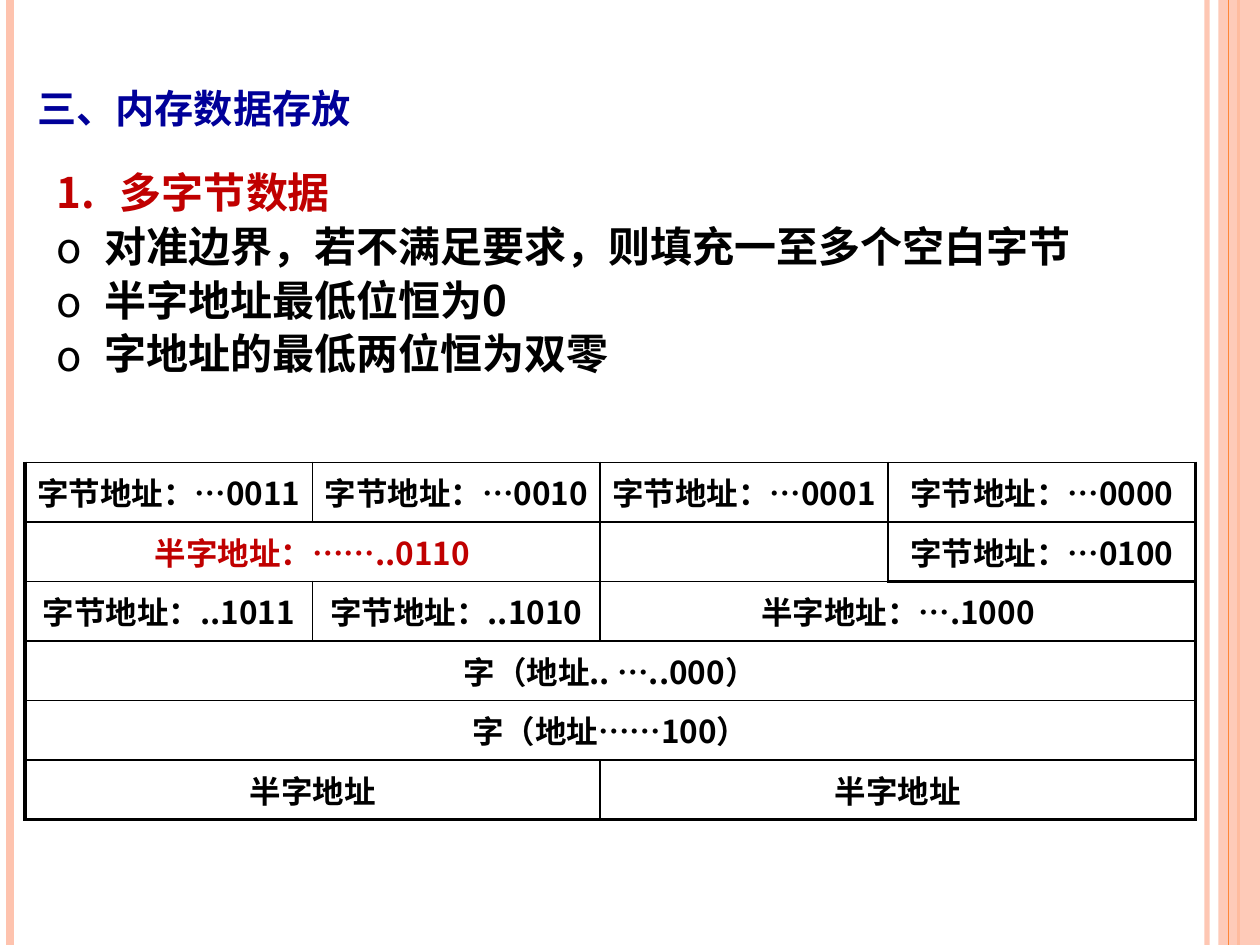
from dataclasses import dataclass

from lxml.etree import SubElement
from pptx import Presentation
from pptx.dml.color import RGBColor
from pptx.enum.shapes import MSO_CONNECTOR, MSO_SHAPE
from pptx.enum.text import MSO_ANCHOR, PP_ALIGN
from pptx.oxml.ns import qn
from pptx.slide import Slide
from pptx.table import _Cell
from pptx.text.text import _Paragraph
from pptx.util import Cm, Pt

COLORS = {
    "peach": "FEC3AE",
    "orange": "FE8637",
    "navy": "000099",
    "red": "C00000",
    "black": "000000",
}
FONT = "Noto Sans CJK SC"
SLIDE_WIDTH, SLIDE_HEIGHT = 25.4, 19.05
COLUMN_WIDTHS = (5.8, 5.8, 5.8, 6.2)
ROW_HEIGHT = 1.2
THIN, THICK = 1, 2.25


@dataclass
class Stripe:
    x: float
    width: float
    color: str
    opacity: int = 100


@dataclass
class Item:
    text: str
    indent: float
    bullet: str = "o"
    color: str = "black"


@dataclass
class Entry:
    text: str
    span: int = 1
    color: str = "black"
    bottom: float = THIN


STRIPES = [
    Stripe(24.33, 3, "peach", 93),
    Stripe(0.2, 4.5, "peach"),
    Stripe(24.97, 1.5, "orange"),
]
INNER_STRIPE = Stripe(24.77, 0.75, "orange")

ITEMS = [
    Item("多字节数据", 1.27, "1.", "red"),
    Item("对准边界，若不满足要求，则填充一至多个空白字节", 0.95),
    Item("半字地址最低位恒为0", 0.95),
    Item("字地址的最低两位恒为双零", 0.95),
]

ROWS = [
    [Entry(f"字节地址：…{address}") for address in ("0011", "0010", "0001", "0000")],
    [Entry("半字地址：……..0110", 2, "red"), Entry(""), Entry("字节地址：…0100", bottom=THICK)],
    [Entry("字节地址：..1011"), Entry("字节地址：..1010"), Entry("半字地址：….1000", 2)],
    [Entry("字（地址.. …..000）", 4)],
    [Entry("字（地址……100）", 4)],
    [Entry("半字地址", 2, bottom=THICK), Entry("半字地址", 2, bottom=THICK)],
]


def rgb(name: str) -> RGBColor:
    """Look up a named colour."""
    return RGBColor.from_string(COLORS[name])


def set_opacity(shape, percent: int) -> None:
    """Make the explicit colours of a shape partly transparent."""
    for color in shape._element.iter(qn("a:srgbClr")):
        SubElement(color, qn("a:alpha"), val=str(percent * 1000))


def style_runs(paragraph: _Paragraph, size: float, color: str) -> None:
    """Give every run of a paragraph the bold slide font."""
    for run in paragraph.runs:
        run.font.size = Pt(size)
        run.font.bold = True
        run.font.color.rgb = rgb(color)
        run.font.name = FONT
        SubElement(run._r.get_or_add_rPr(), qn("a:ea"), typeface=FONT)


def draw_stripe(slide: Slide, stripe: Stripe) -> None:
    """Draw a vertical line over the full slide height."""
    line = slide.shapes.add_connector(
        MSO_CONNECTOR.STRAIGHT, Cm(stripe.x), Cm(0), Cm(stripe.x), Cm(SLIDE_HEIGHT)
    )
    line.line.color.rgb = rgb(stripe.color)
    line.line.width = Pt(stripe.width)
    SubElement(line._element.spPr, qn("a:effectLst"))
    if stripe.opacity < 100:
        set_opacity(line, stripe.opacity)


def draw_frame(slide: Slide) -> None:
    """Draw the stripes and the band along the slide edges."""
    for stripe in STRIPES:
        draw_stripe(slide, stripe)
    left = 24.56
    band = slide.shapes.add_shape(
        MSO_SHAPE.RECTANGLE, Cm(left), Cm(0), Cm(SLIDE_WIDTH - left), Cm(SLIDE_HEIGHT)
    )
    band.shadow.inherit = False
    band.fill.solid()
    band.fill.fore_color.rgb = rgb("peach")
    band.line.fill.background()
    set_opacity(band, 87)
    draw_stripe(slide, INNER_STRIPE)


def draw_title(slide: Slide) -> None:
    """Write the heading in small capitals."""
    text_frame = slide.shapes.add_textbox(Cm(0.5), Cm(1.32), Cm(23.6), Cm(1.55)).text_frame
    text_frame.word_wrap = True
    text_frame.vertical_anchor = MSO_ANCHOR.MIDDLE
    text_frame.text = "三、内存数据存放"
    paragraph = text_frame.paragraphs[0]
    style_runs(paragraph, 28, "navy")
    paragraph.runs[0]._r.get_or_add_rPr().set("cap", "small")


def draw_items(slide: Slide) -> None:
    """Write the numbered heading and its bulleted points."""
    text_frame = slide.shapes.add_textbox(Cm(0.9), Cm(3.05), Cm(23.6), Cm(5.8)).text_frame
    text_frame.word_wrap = True
    text_frame.margin_top = Cm(0.23)
    text_frame.text = "\n".join(item.text for item in ITEMS)
    for paragraph, item in zip(text_frame.paragraphs, ITEMS):
        paragraph.line_spacing = 1.07
        properties = paragraph._p.get_or_add_pPr()
        properties.set("marL", str(Cm(item.indent)))
        properties.set("indent", str(-Cm(item.indent)))
        SubElement(properties, qn("a:buFont"), typeface=FONT)
        if item.bullet == "1.":
            SubElement(properties, qn("a:buAutoNum"), type="arabicPeriod")
        else:
            SubElement(properties, qn("a:buChar"), char=item.bullet)
        style_runs(paragraph, 24, item.color)


def set_borders(cell: _Cell, left: float, right: float, bottom: float) -> None:
    """Draw the four black borders of a cell."""
    properties = cell._tc.get_or_add_tcPr()
    widths = {"a:lnL": left, "a:lnR": right, "a:lnT": THIN, "a:lnB": bottom}
    for position, (tag, width) in enumerate(widths.items()):
        line = properties.makeelement(qn(tag), {"w": str(Pt(width))})
        fill = SubElement(line, qn("a:solidFill"))
        SubElement(fill, qn("a:srgbClr"), val=COLORS["black"])
        properties.insert(position, line)


def fill_cell(cell: _Cell, entry: Entry) -> None:
    """Write one centred table entry."""
    cell.margin_left = cell.margin_right = Cm(0)
    cell.vertical_anchor = MSO_ANCHOR.MIDDLE
    cell.text = entry.text
    paragraph = cell.text_frame.paragraphs[0]
    paragraph.alignment = PP_ALIGN.CENTER
    style_runs(paragraph, 18, entry.color)


def draw_memory_table(slide: Slide) -> None:
    """Draw the memory layout, one word per row."""
    count = len(COLUMN_WIDTHS)
    table = slide.shapes.add_table(
        len(ROWS), count, Cm(0.5), Cm(9.32), Cm(sum(COLUMN_WIDTHS)), Cm(ROW_HEIGHT * len(ROWS))
    ).table
    table.first_row = table.horz_banding = False
    for column, width in zip(table.columns, COLUMN_WIDTHS):
        column.width = Cm(width)
    for row, entries in enumerate(ROWS):
        table.rows[row].height = Cm(ROW_HEIGHT)
        start = 0
        for entry in entries:
            end = start + entry.span
            left = THIN if start else THICK
            right = THICK if end == count else THIN
            for column in range(start, end):
                cell = table.cell(row, column)
                cell.fill.background()
                set_borders(cell, left, right, entry.bottom)
            origin = table.cell(row, start)
            if entry.span > 1:
                origin.merge(table.cell(row, end - 1))
            fill_cell(origin, entry)
            start = end


def main() -> None:
    """Build and save the slide."""
    presentation = Presentation()
    presentation.slide_width = Cm(SLIDE_WIDTH)
    presentation.slide_height = Cm(SLIDE_HEIGHT)
    slide = presentation.slides.add_slide(presentation.slide_layouts[6])
    draw_frame(slide)
    draw_title(slide)
    draw_memory_table(slide)
    draw_items(slide)
    presentation.save("out.pptx")


if __name__ == "__main__":
    main()
